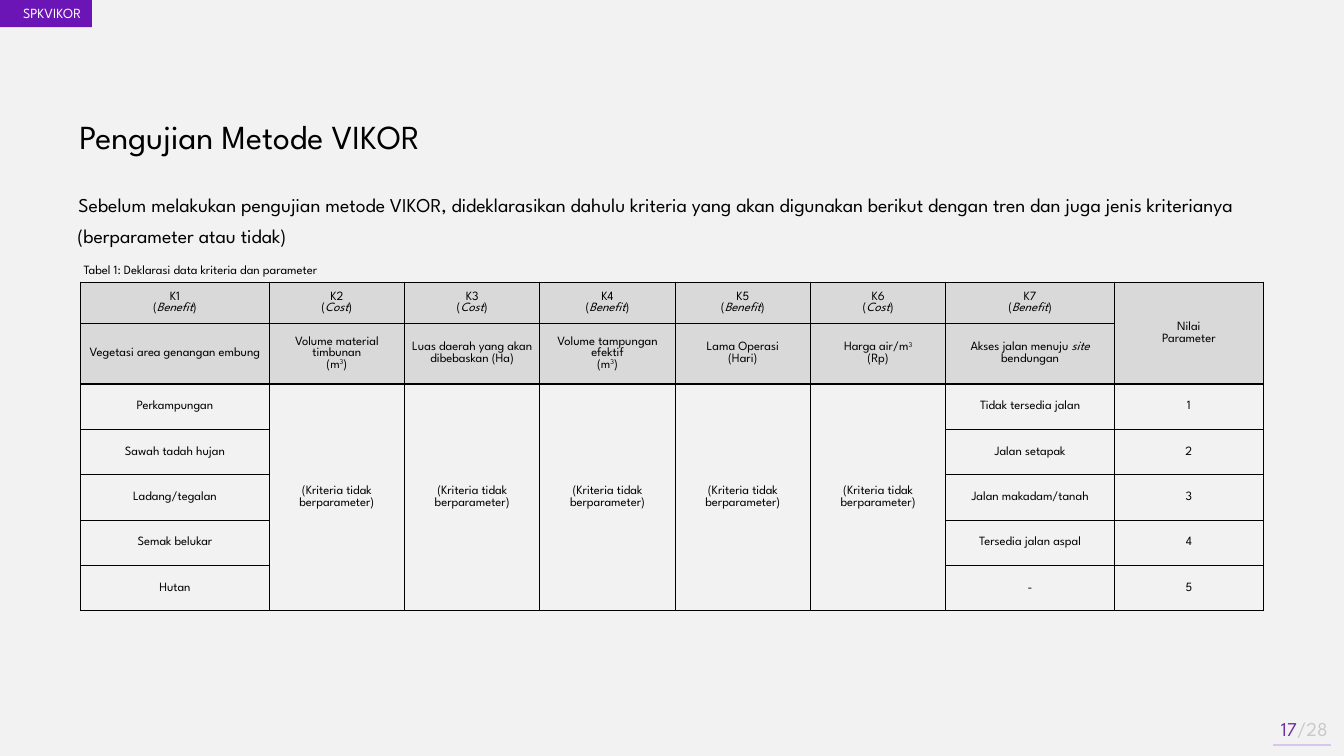
from copy import deepcopy
from dataclasses import dataclass

from lxml.etree import SubElement
from pptx import Presentation
from pptx.dml.color import RGBColor
from pptx.enum.shapes import MSO_CONNECTOR, MSO_SHAPE
from pptx.enum.text import MSO_ANCHOR, PP_ALIGN
from pptx.oxml.ns import qn
from pptx.util import Inches, Pt

SLIDE_WIDTH = Inches(13.33)
SLIDE_HEIGHT = Inches(7.5)
BREAK = "\v"


@dataclass(frozen=True)
class Theme:
    font: str = "League Spartan"
    background: str = "F2F2F2"
    header: str = "D9D9D9"
    ink: str = "000000"
    white: str = "FFFFFF"
    badge: str = "6B15B6"
    rule: str = "DCC5ED"
    page: str = "7030A0"
    page_total: str = "C9C9C9"
    title_size: int = 24
    body_size: int = 14
    badge_size: int = 10
    table_size: int = 9


@dataclass(frozen=True)
class Span:
    text: str
    italic: bool = False
    raised: bool = False
    color: str = ""


THEME = Theme()
CUBED = Span("3", raised=True)
TRENDS = ["Benefit", "Cost", "Cost", "Benefit", "Benefit", "Cost", "Benefit"]
CRITERIA = [
    ["Vegetasi area genangan embung"],
    ["Volume material timbunan", BREAK, "(m", CUBED, ")"],
    ["Luas daerah yang akan dibebaskan (Ha)"],
    ["Volume tampungan efektif", BREAK, "(m", CUBED, ")"],
    ["Lama Operasi", BREAK, "(Hari)"],
    ["Harga air/m", CUBED, BREAK, "(Rp)"],
    ["Akses jalan menuju ", Span("site", italic=True), " bendungan"],
]
PARAMETERS = [
    ("Perkampungan", "Tidak tersedia jalan"),
    ("Sawah tadah hujan", "Jalan setapak"),
    ("Ladang/tegalan", "Jalan makadam/tanah"),
    ("Semak belukar", "Tersedia jalan aspal"),
    ("Hutan", "-"),
]
COLUMN_WIDTHS = [14.03] + [10.07] * 5 + [12.55, 11.07]
ROW_HEIGHTS = [5.47, 8] + [6] * 5


def across(percent):
    return round(SLIDE_WIDTH * percent / 100)


def down(percent):
    return round(SLIDE_HEIGHT * percent / 100)


def area(left, top, width, height):
    return across(left), down(top), across(width), down(height)


def rgb(value):
    return RGBColor.from_string(value)


def write(paragraph, pieces, size, color=THEME.ink, align=PP_ALIGN.LEFT):
    paragraph.alignment = align
    for piece in pieces:
        if piece == BREAK:
            paragraph.add_line_break()
            continue
        span = piece if isinstance(piece, Span) else Span(piece)
        run = paragraph.add_run()
        run.text = span.text
        run.font.name = THEME.font
        run.font.size = Pt(size)
        run.font.color.rgb = rgb(span.color or color)
        if span.italic:
            run.font.italic = True
        if span.raised:
            run.font._element.set("baseline", "30000")
    for line_break in paragraph._p.findall(qn("a:br")):
        line_break.append(deepcopy(paragraph.runs[0].font._element))


def add_text(slide, place, pieces, size, color=THEME.ink, align=PP_ALIGN.LEFT,
             anchor=MSO_ANCHOR.TOP, space_after=0):
    frame = slide.shapes.add_textbox(*area(*place)).text_frame
    frame.word_wrap = True
    frame.vertical_anchor = anchor
    paragraph = frame.paragraphs[0]
    paragraph.space_after = Pt(space_after)
    write(paragraph, pieces, size, color, align)
    return paragraph


def add_badge(slide):
    badge = slide.shapes.add_shape(MSO_SHAPE.RECTANGLE, *area(0, 0, 6.83, 3.6))
    badge.shadow.inherit = False
    badge.fill.solid()
    badge.fill.fore_color.rgb = rgb(THEME.badge)
    badge.line.fill.background()
    add_text(slide, (0.08, 0, 6.68, 3.6), ["SPKVIKOR"], THEME.badge_size,
             THEME.white, PP_ALIGN.RIGHT)


def add_page_rule(slide):
    rule = slide.shapes.add_connector(
        MSO_CONNECTOR.STRAIGHT, across(94.73), down(98.53), across(99), down(98.53))
    rule.line.color.rgb = rgb(THEME.rule)
    rule.line.width = Pt(1.5)
    SubElement(rule._element.spPr, qn("a:effectLst"))


def add_borders(cell):
    properties = cell._tc.get_or_add_tcPr()
    for position, side in enumerate(("lnL", "lnR", "lnT", "lnB")):
        border = SubElement(properties, qn(f"a:{side}"), w=str(Pt(1)))
        fill = SubElement(border, qn("a:solidFill"))
        SubElement(fill, qn("a:srgbClr"), val=THEME.ink)
        properties.insert(position, border)


def style_cell(cell, fill, side_margin):
    cell.fill.solid()
    cell.fill.fore_color.rgb = rgb(fill)
    cell.vertical_anchor = MSO_ANCHOR.MIDDLE
    cell.margin_left = cell.margin_right = Inches(side_margin)
    cell.margin_top = cell.margin_bottom = 0
    add_borders(cell)


def fill_cell(cell, *lines):
    frame = cell.text_frame
    for index, pieces in enumerate(lines):
        paragraph = frame.add_paragraph() if index else frame.paragraphs[0]
        write(paragraph, pieces, THEME.table_size, align=PP_ALIGN.CENTER)


def add_criteria_table(slide):
    table = slide.shapes.add_table(
        len(ROW_HEIGHTS), len(COLUMN_WIDTHS), *area(6, 37.33, 88, 43.47)).table
    for column, width in zip(table.columns, COLUMN_WIDTHS):
        column.width = across(width)
    for row, height in zip(table.rows, ROW_HEIGHTS):
        row.height = down(height)
    for row in range(len(ROW_HEIGHTS)):
        for column in range(len(COLUMN_WIDTHS)):
            is_header = row < 2
            is_parameter = not is_header and column in (0, 6)
            style_cell(table.cell(row, column),
                       THEME.header if is_header else THEME.background,
                       0.04 if is_parameter else 0.07)

    for column, (trend, criterion) in enumerate(zip(TRENDS, CRITERIA)):
        fill_cell(table.cell(0, column), [f"K{column + 1}"],
                  ["(", Span(trend, italic=True), ")"])
        fill_cell(table.cell(1, column), criterion)
    table.cell(0, 7).merge(table.cell(1, 7))
    fill_cell(table.cell(0, 7), ["Nilai"], ["Parameter"])

    for column in range(1, 6):
        table.cell(2, column).merge(table.cell(6, column))
        fill_cell(table.cell(2, column), ["(Kriteria tidak berparameter)"])
    for value, (vegetation, road) in enumerate(PARAMETERS, start=1):
        for column, text in ((0, vegetation), (6, road), (7, str(value))):
            fill_cell(table.cell(value + 1, column), [text])


def main():
    presentation = Presentation()
    presentation.slide_width = SLIDE_WIDTH
    presentation.slide_height = SLIDE_HEIGHT
    slide = presentation.slides.add_slide(presentation.slide_layouts[6])
    slide.background.fill.solid()
    slide.background.fill.fore_color.rgb = rgb(THEME.background)

    add_badge(slide)
    add_page_rule(slide)
    add_text(slide, (5.17, 14.67, 40.13, 6.67), ["Pengujian Metode VIKOR"],
             THEME.title_size, space_after=8)
    introduction = add_text(slide, (2.85, 23.87, 92.18, 7.6), [
        "Sebelum melakukan pengujian metode VIKOR, dideklarasikan dahulu kriteria "
        "yang akan digunakan berikut dengan tren dan juga jenis kriterianya "
        "(berparameter atau tidak)"], THEME.body_size, space_after=8)
    introduction.line_spacing = 1.33
    introduction._p.pPr.set("marL", str(Inches(0.29)))
    introduction._p.pPr.set("indent", str(Inches(0.01)))
    add_criteria_table(slide)
    add_text(slide, (5.48, 34, 31.8, 3.33),
             ["Tabel 1: Deklarasi data kriteria dan parameter"], THEME.table_size)
    add_text(slide, (92.48, 93.73, 7.05, 5.33),
             [Span("17", color=THEME.page), Span("/28", color=THEME.page_total)],
             THEME.body_size, align=PP_ALIGN.RIGHT, anchor=MSO_ANCHOR.MIDDLE)
    presentation.save("out.pptx")


if __name__ == "__main__":
    main()
